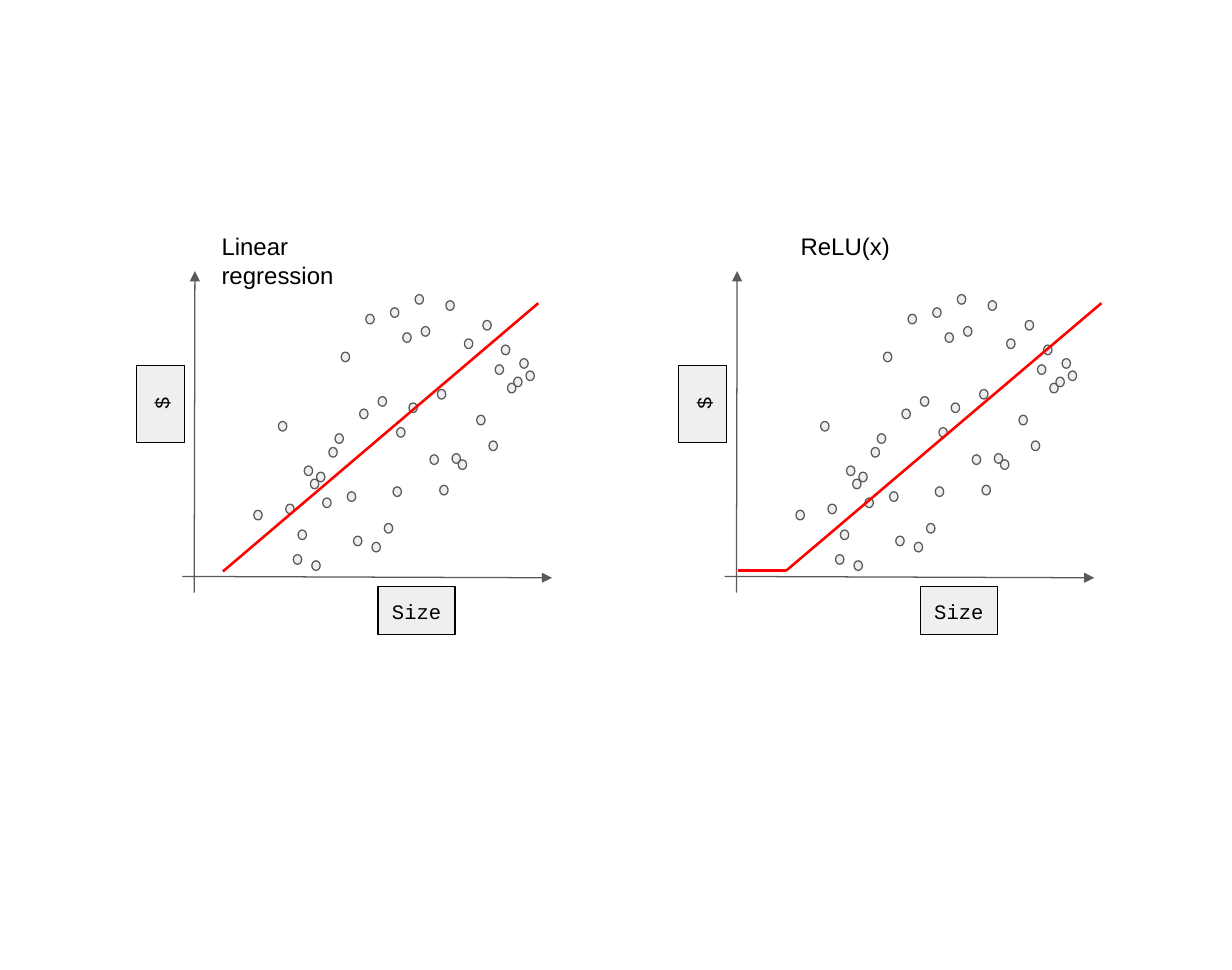
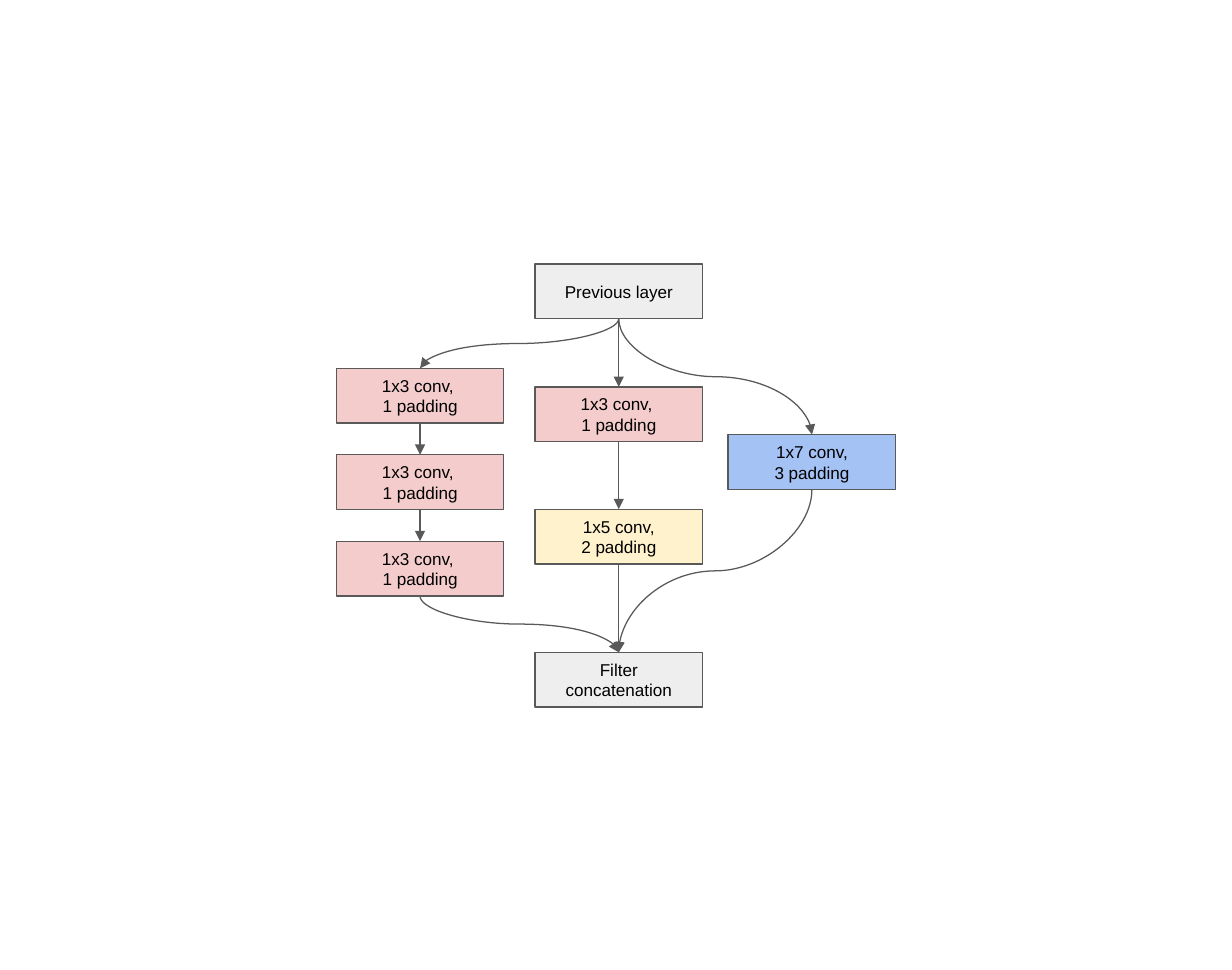
from dataclasses import dataclass
from itertools import pairwise

from lxml.etree import SubElement
from pptx import Presentation
from pptx.dml.color import RGBColor
from pptx.enum.shapes import MSO_CONNECTOR, MSO_SHAPE
from pptx.enum.text import MSO_ANCHOR, PP_ALIGN
from pptx.oxml.ns import qn
from pptx.util import Pt


@dataclass(frozen=True)
class Theme:
    gray: str = "EEEEEE"
    label_gray: str = "EFEFEF"
    outline: str = "595959"
    black: str = "000000"
    red: str = "FF0000"
    pink: str = "F4CCCC"
    yellow: str = "FFF2CC"
    blue: str = "A4C2F4"
    font: str = "Arial"
    label_font: str = "Courier New"
    title_size: float = 14
    label_size: float = 12
    layer_size: float = 10
    thin: float = 0.75
    thick: float = 1.5
    inset: float = 7.2


theme = Theme()


def add_box(slide, kind, frame, lines=(), fill=None, outline=theme.outline,
            font=theme.font, size=theme.layer_size,
            align=PP_ALIGN.CENTER, anchor=MSO_ANCHOR.TOP):
    frame = [Pt(value) for value in frame]
    if kind is None:
        shape = slide.shapes.add_textbox(*frame)
    else:
        shape = slide.shapes.add_shape(kind, *frame)
        shape.shadow.inherit = False
        shape.fill.solid()
        shape.fill.fore_color.rgb = RGBColor.from_string(fill)
        shape.line.color.rgb = RGBColor.from_string(outline)
        shape.line.width = Pt(theme.thin)
    text_frame = shape.text_frame
    text_frame.word_wrap = True
    text_frame.vertical_anchor = anchor
    text_frame.margin_left = text_frame.margin_right = Pt(theme.inset)
    text_frame.margin_top = text_frame.margin_bottom = Pt(theme.inset)
    for index, line in enumerate(lines):
        paragraph = text_frame.add_paragraph() if index else text_frame.paragraphs[0]
        paragraph.alignment = align
        run = paragraph.add_run()
        run.text = line
        run.font.name = font
        run.font.size = Pt(size)
        run.font.color.rgb = RGBColor.from_string(theme.black)
    return shape


def add_line(slide, start, end, kind=MSO_CONNECTOR.STRAIGHT,
             color=theme.outline, width=theme.thin, arrow=True):
    connector = slide.shapes.add_connector(kind, *(Pt(value) for value in (*start, *end)))
    connector.line.color.rgb = RGBColor.from_string(color)
    connector.line.width = Pt(width)
    properties = connector._element.spPr
    if arrow:
        SubElement(properties.find(qn("a:ln")), qn("a:tailEnd"), type="triangle")
    SubElement(properties, qn("a:effectLst"))
    return connector


presentation = Presentation()
presentation.slide_width = Pt(720)
presentation.slide_height = Pt(566.6)
blank_layout = presentation.slide_layouts[6]

plot_slide = presentation.slides.add_slide(blank_layout)
dot_width, dot_height = 4.9, 5.6
dots = [
    (162.7, 246.2), (148.3, 298.1), (171.4, 324), (177.8, 272.2), (182.2, 327.6),
    (188.6, 290.9), (174.2, 309.6), (167, 294.5), (228.2, 179.8), (185, 275.8),
    (246.2, 190.8), (255.6, 227.5), (195.8, 253.4), (199.4, 205.7), (221, 231.7),
    (217.4, 316.8), (231.8, 249.8), (257, 283.5), (251.3, 265.7), (229.7, 284.4),
    (203, 287.3), (224.6, 305.8), (293, 201.6), (285.8, 257.6), (303.8, 209.5),
    (307.4, 216.7), (296.6, 223.9), (289.4, 213.1), (300.2, 220.3), (213.8, 183.6),
    (181.4, 279.9), (235.4, 194.4), (206.6, 313.2), (239, 235.4), (192.2, 261.4),
    (210.2, 239), (260.6, 175.7), (264.2, 265), (282.2, 187.2), (278.6, 242.6),
    (242.6, 172.1), (271.4, 198), (267.8, 268.6),
]
panels = [
    (0, "Linear regression", (122.4, 128.2, 115.2, 40.3),
     [(130.3, 333.8), (314.6, 177.1)]),
    (316.9, "ReLU(x)", (460.8, 128.2, 72, 40.3),
     [(431.3, 333.4), (459.4, 333.4), (643.7, 177.1)]),
]
axis_labels = [("Size", 221, 342.7, 0), ("$", 71.3, 221.8, 270)]

for shift, title, title_frame, fit_points in panels:
    add_line(plot_slide, (106.6 + shift, 336.7), (322.6 + shift, 337.5))
    for left, top in dots:
        add_box(plot_slide, MSO_SHAPE.OVAL, (left + shift, top, dot_width, dot_height),
                fill=theme.gray)
    for label, left, top, rotation in axis_labels:
        label_box = add_box(plot_slide, MSO_SHAPE.RECTANGLE, (left + shift, top, 45, 28),
                            [label], theme.label_gray, theme.black,
                            theme.label_font, theme.label_size)
        label_box.rotation = rotation
    for start, end in pairwise(fit_points):
        add_line(plot_slide, start, end, color=theme.red, width=theme.thick, arrow=False)
    add_line(plot_slide, (113.5 + shift, 346.2), (113.9 + shift, 158.4))
    add_box(plot_slide, None, title_frame, [title], size=theme.title_size,
            align=PP_ALIGN.LEFT)

network_slide = presentation.slides.add_slide(blank_layout)
layer_width, layer_height = 98, 32
left_column, middle_column, right_column = 196.5, 312.6, 425.5
small_conv = ["1x3 conv, ", "1 padding"]
layers = {
    "previous": (middle_column, 154.2, theme.gray, ["Previous layer"]),
    "middle small": (middle_column, 226, theme.pink, small_conv),
    "middle medium": (middle_column, 297.4, theme.yellow, ["1x5 conv,", "2 padding"]),
    "right large": (right_column, 253.9, theme.blue, ["1x7 conv,", "3 padding"]),
    "concatenation": (middle_column, 381, theme.gray, ["Filter concatenation"]),
}
for row in range(3):
    layers[f"left {row}"] = (left_column, 215.1 + 50.5 * row, theme.pink, small_conv)

layer_shapes = {
    name: add_box(network_slide, MSO_SHAPE.RECTANGLE,
                  (left, top, layer_width, layer_height), lines, fill,
                  anchor=MSO_ANCHOR.MIDDLE)
    for name, (left, top, fill, lines) in layers.items()
}

branches = [
    ["previous", "left 0", "left 1", "left 2", "concatenation"],
    ["previous", "middle small", "middle medium", "concatenation"],
    ["previous", "right large", "concatenation"],
]
for source, target in (link for branch in branches for link in pairwise(branch)):
    source_left, source_top = layers[source][:2]
    target_left, target_top = layers[target][:2]
    start_x, start_y = source_left + layer_width / 2, source_top + layer_height
    end_x, end_y = target_left + layer_width / 2, target_top
    if start_x == end_x:
        arrow = add_line(network_slide, (start_x, start_y), (end_x, end_y))
        arrow.begin_connect(layer_shapes[source], 2)
        arrow.end_connect(layer_shapes[target], 0)
        continue
    center_x, center_y = (start_x + end_x) / 2, (start_y + end_y) / 2
    half_across = abs(end_x - start_x) / 2
    half_down = (end_y - start_y) / 2
    direction, degrees = (1, 90) if end_x < start_x else (-1, 270)
    curve = add_line(network_slide,
                     (center_x - direction * half_down, center_y - half_across),
                     (center_x + direction * half_down, center_y + half_across),
                     MSO_CONNECTOR.CURVE)
    curve._element.spPr.find(qn("a:xfrm")).set("rot", str(degrees * 60000))

presentation.save("out.pptx")
